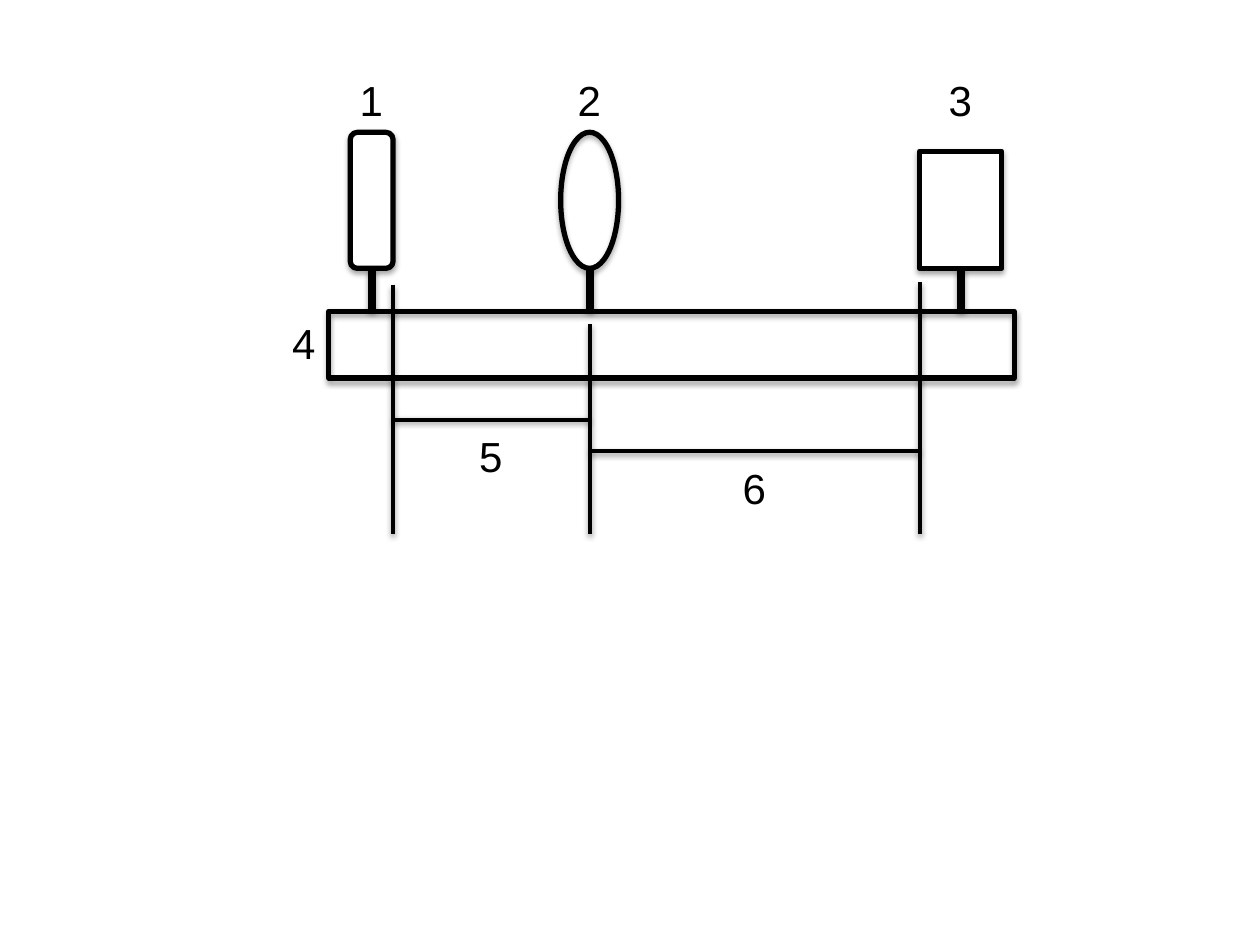
import pptx
import pptx.util
import pptx.dml.color
import pptx.enum.shapes
import pptx.enum.text
import pptx.oxml
import pptx.oxml.ns

SHAPE = pptx.enum.shapes.MSO_SHAPE
COLS, ROWS = 100, 75
INK, PAPER = "000000", "FFFFFF"
LABEL_W, LABEL_H = 3.9, 5

prs = pptx.Presentation()
prs.slide_width = pptx.util.Inches(10)
prs.slide_height = pptx.util.Inches(7.5)


def x(col):
    return round(prs.slide_width * col / COLS)


def y(row):
    return round(prs.slide_height * row / ROWS)


def rgb(value):
    return pptx.dml.color.RGBColor.from_string(value)


def add_shadow(sp, distance, opacity):
    sp._element.spPr.append(pptx.oxml.parse_xml(
        f'<a:effectLst {pptx.oxml.ns.nsdecls("a")}>'
        f'<a:outerShdw blurRad="40000" dist="{distance}" dir="5400000" rotWithShape="0">'
        f'<a:srgbClr val="{INK}"><a:alpha val="{opacity * 1000}"/></a:srgbClr>'
        '</a:outerShdw></a:effectLst>'))


def add_outline(s, kind, box, fill=None):
    left, top, width, height = box
    sp = s.shapes.add_shape(kind, x(left), y(top), x(width), y(height))
    if fill:
        sp.fill.solid()
        sp.fill.fore_color.rgb = rgb(fill)
    else:
        sp.fill.background()
    sp.line.color.rgb = rgb(INK)
    sp.line.width = pptx.util.Pt(3)
    add_shadow(sp, 23000, 35)


def add_line(s, start, end, weight=2.25):
    line = s.shapes.add_connector(
        pptx.enum.shapes.MSO_CONNECTOR.STRAIGHT,
        x(start[0]), y(start[1]), x(end[0]), y(end[1]))
    line.line.color.rgb = rgb(INK)
    line.line.width = pptx.util.Pt(weight)
    add_shadow(line, 20000, 38)


def add_label(s, text, center, top):
    sp = s.shapes.add_textbox(x(center - LABEL_W / 2), y(top), x(LABEL_W), y(LABEL_H))
    tf = sp.text_frame
    tf.word_wrap = False
    tf.auto_size = pptx.enum.text.MSO_AUTO_SIZE.SHAPE_TO_FIT_TEXT
    p = tf.paragraphs[0]
    p.text = text
    r = p.runs[0]
    r.font.name = "Arial"
    r.font.size = pptx.util.Pt(24)
    r.font.color.rgb = rgb(INK)


def add_bench(s, box, label):
    add_outline(s, SHAPE.RECTANGLE, box)
    add_label(s, label, box[0] - LABEL_W / 2, box[1])


def add_device(s, kind, box, bench_top, label, fill=None):
    left, top, width, height = box
    center = left + width / 2
    add_outline(s, kind, box, fill)
    add_line(s, (center, top + height), (center, bench_top), 4.5)
    add_label(s, label, center, 5.4)


def add_distance(s, start, end, row, label):
    add_line(s, (start, row), (end, row))
    add_label(s, label, (start + end) / 2, row + 0.4)


def add_optical_bench(s, box):
    bench_top = box[1]
    add_bench(s, box, "4")
    for kind, device_box, label, fill in (
        (SHAPE.ROUNDED_RECTANGLE, (27.8, 10.5, 3.4, 10.8), "1", PAPER),
        (SHAPE.OVAL, (44.5, 10.5, 4.6, 10.8), "2", None),
        (SHAPE.RECTANGLE, (73, 12, 6.5, 9.3), "3", PAPER),
    ):
        add_device(s, kind, device_box, bench_top, label, fill)
    source, lens, screen = 31.2, 46.8, 73
    for col, top in ((source, 22.6), (lens, 25.7), (screen, 22.4)):
        add_line(s, (col, top), (col, 42.4))
    add_distance(s, source, lens, 33.3, "5")
    add_distance(s, lens, screen, 35.8, "6")


s = prs.slides.add_slide(prs.slide_layouts[6])
add_optical_bench(s, (26.1, 24.7, 54.4, 5.3))
prs.save("out.pptx")
